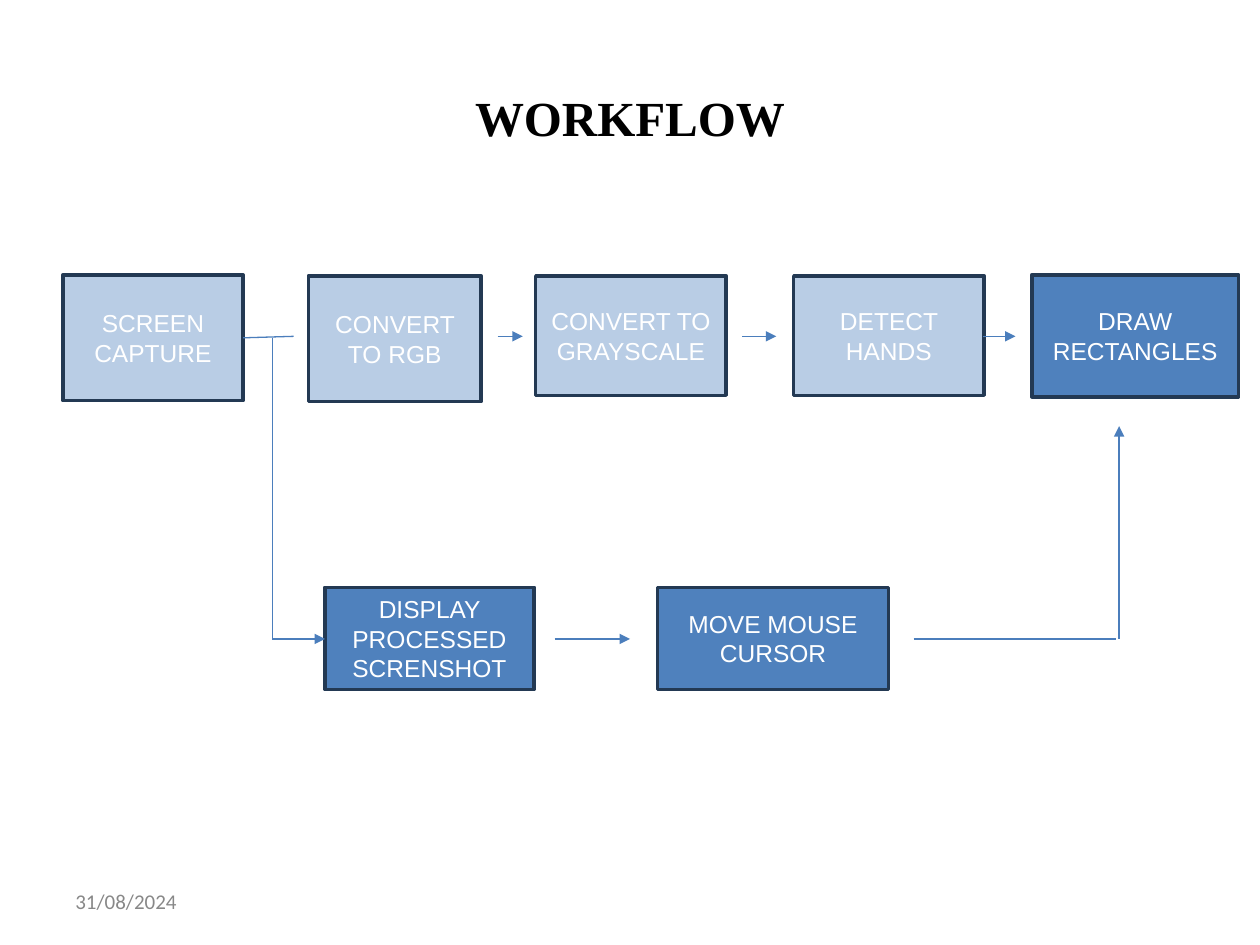
from lxml import etree
from pptx import Presentation
from pptx.dml.color import RGBColor
from pptx.enum.shapes import MSO_CONNECTOR, MSO_SHAPE
from pptx.enum.text import MSO_ANCHOR, PP_ALIGN
from pptx.oxml.ns import qn
from pptx.util import Cm, Pt

RECTANGLE = MSO_SHAPE.RECTANGLE
STRAIGHT = MSO_CONNECTOR.STRAIGHT
MIDDLE = MSO_ANCHOR.MIDDLE
CENTER = PP_ALIGN.CENTER
LEFT = PP_ALIGN.LEFT

BLACK = RGBColor(0x00, 0x00, 0x00)
WHITE = RGBColor(0xFF, 0xFF, 0xFF)
GRAY = RGBColor(0x88, 0x88, 0x88)
LIGHT_BLUE = RGBColor(0xB9, 0xCD, 0xE5)
BLUE = RGBColor(0x4F, 0x81, 0xBD)
LINE_BLUE = RGBColor(0x4B, 0x7E, 0xBC)
NAVY = RGBColor(0x23, 0x39, 0x53)


def write_text(shape, text, font_name, size, color, alignment, bold=False):
    text_frame = shape.text_frame
    text_frame.text = text
    text_frame.word_wrap = True
    text_frame.vertical_anchor = MIDDLE
    paragraph = text_frame.paragraphs[0]
    paragraph.alignment = alignment
    font = paragraph.runs[0].font
    font.name = font_name
    font.size = Pt(size)
    font.bold = bold
    font.color.rgb = color


presentation = Presentation()
presentation.slide_width = Cm(25.4)
presentation.slide_height = Cm(19.05)
slide = presentation.slides.add_slide(presentation.slide_layouts[6])

title = slide.shapes.add_textbox(Cm(1.27), Cm(0.76), Cm(22.86), Cm(3.18))
write_text(title, "WORKFLOW", "Times New Roman", 28, BLACK, CENTER, bold=True)

date = slide.shapes.add_textbox(Cm(1.27), Cm(17.65), Cm(5.92), Cm(1.02))
write_text(date, "31/08/2024", "Calibri", 12, GRAY, LEFT)

steps = [
    ("SCREEN CAPTURE", 1.27, 5.54, 3.63, 2.54, LIGHT_BLUE),
    ("CONVERT TO RGB", 6.22, 5.56, 3.48, 2.54, LIGHT_BLUE),
    ("CONVERT TO GRAYSCALE", 10.8, 5.56, 3.84, 2.41, LIGHT_BLUE),
    ("DETECT HANDS", 16, 5.56, 3.84, 2.41, LIGHT_BLUE),
    ("DISPLAY PROCESSED SCRENSHOT", 6.55, 11.84, 4.22, 2.06, BLUE),
    ("MOVE MOUSE CURSOR", 13.26, 11.84, 4.65, 2.06, BLUE),
    ("DRAW RECTANGLES", 20.8, 5.54, 4.17, 2.46, BLUE),
]
for text, left, top, width, height, fill_color in steps:
    box = slide.shapes.add_shape(RECTANGLE, Cm(left), Cm(top), Cm(width), Cm(height))
    box.shadow.inherit = False
    box.fill.solid()
    box.fill.fore_color.rgb = fill_color
    box.line.color.rgb = NAVY
    box.line.width = Pt(2)
    write_text(box, text, "Arial", 14, WHITE, CENTER)

upper_y = 6.78
lower_y = 12.88
branch_x = 5.49
links = [
    (19.81, upper_y, 20.47, upper_y, True),
    (10.03, upper_y, 10.54, upper_y, True),
    (14.96, upper_y, 15.65, upper_y, True),
    (11.18, lower_y, 12.7, lower_y, True),
    (18.42, lower_y, 22.5, lower_y, False),
    (22.56, lower_y, 22.56, 8.59, True),
    (4.9, 6.81, 5.92, upper_y, False),
    (branch_x, 6.81, branch_x, lower_y, False),
    (branch_x, lower_y, 6.55, lower_y, True),
]
for start_x, start_y, end_x, end_y, has_arrow in links:
    connector = slide.shapes.add_connector(
        STRAIGHT, Cm(start_x), Cm(start_y), Cm(end_x), Cm(end_y)
    )
    connector.line.color.rgb = LINE_BLUE
    connector.line.width = Pt(0.75)
    if has_arrow:
        line_xml = connector.line._get_or_add_ln()
        etree.SubElement(line_xml, qn("a:tailEnd"), type="triangle")
    etree.SubElement(connector._element.spPr, qn("a:effectLst"))

presentation.save("out.pptx")
